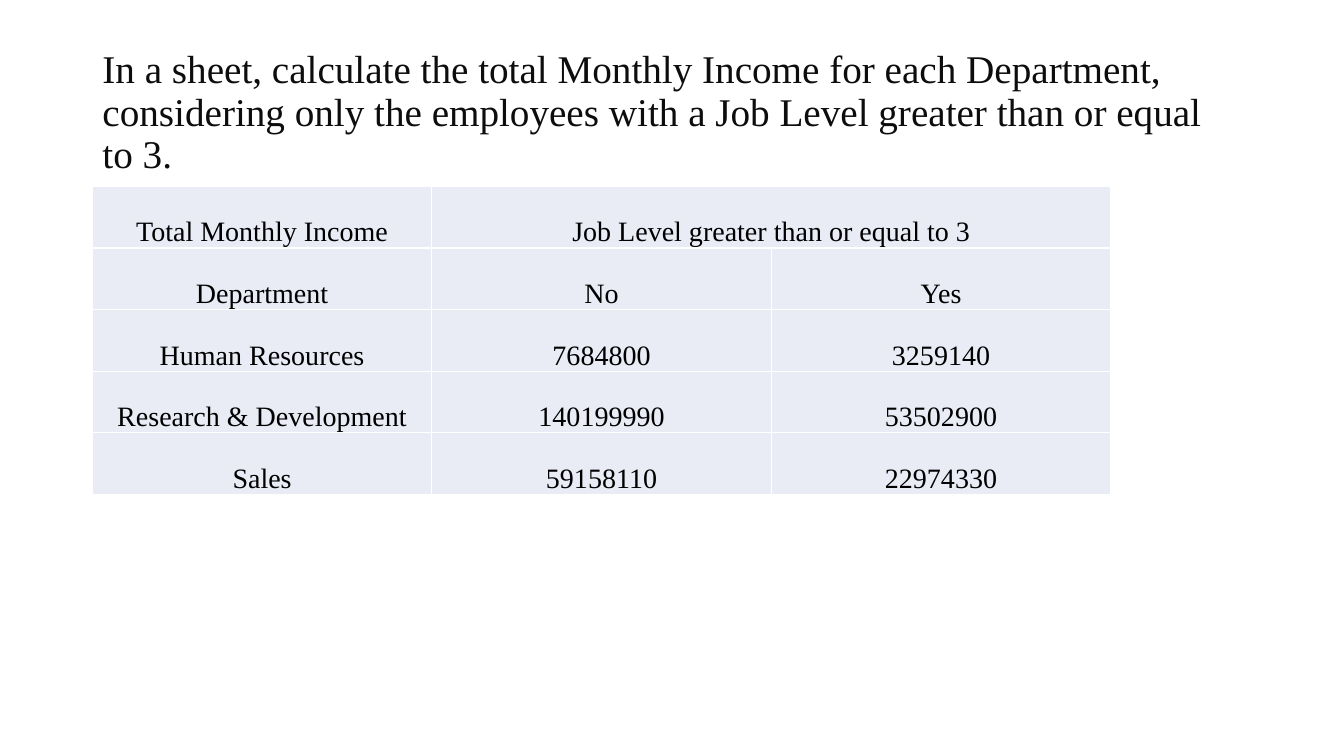
"""Build a slide that shows total monthly income by department and job level."""
from pptx import Presentation
from pptx.dml.color import RGBColor
from pptx.enum.text import MSO_ANCHOR, MSO_AUTO_SIZE, PP_ALIGN
from pptx.util import Pt

INK = RGBColor(0x0D, 0x0D, 0x0D)
BLACK = RGBColor(0, 0, 0)
PALE = RGBColor(0xE9, 0xEB, 0xF5)
FONT = "Times New Roman"
LEFT = Pt(66)
ROWS = [
    ("Total Monthly Income", "Job Level greater than or equal to 3", ""),
    ("Department", "No", "Yes"),
    ("Human Resources", "7684800", "3259140"),
    ("Research & Development", "140199990", "53502900"),
    ("Sales", "59158110", "22974330"),
]


def apply(item, form):
    for name, value in form.items():
        setattr(item, name, value)


def write(para, text, size, color, align):
    para.text = text
    para.alignment = align
    font = para.runs[0].font
    apply(font, {"name": FONT, "size": Pt(size)})
    font.color.rgb = color


deck = Presentation()
apply(deck, {"slide_width": Pt(960), "slide_height": Pt(540)})
slide = deck.slides.add_slide(deck.slide_layouts[5])

title = slide.shapes.title
apply(title, {"left": LEFT, "top": Pt(28.75), "width": Pt(828), "height": Pt(104.4)})
apply(title.text_frame, {
    "vertical_anchor": MSO_ANCHOR.MIDDLE,
    "auto_size": MSO_AUTO_SIZE.NONE,
    "word_wrap": True,
})
head = title.text_frame.paragraphs[0]
write(
    head,
    "In a sheet, calculate the total Monthly Income for each Department, "
    "considering only the employees with a Job Level greater than or equal to 3.",
    28, INK, PP_ALIGN.LEFT,
)
head.line_spacing = 0.9

frame = slide.shapes.add_table(len(ROWS), 3, LEFT, Pt(133.15), Pt(727.5), Pt(220))
table = frame.table
apply(table, {"first_row": False, "horz_banding": False})
for col in table.columns:
    col.width = Pt(242.5)
for row in table.rows:
    row.height = Pt(44)
table.cell(0, 1).merge(table.cell(0, 2))

for r, row in enumerate(ROWS):
    for c, text in enumerate(row):
        cell = table.cell(r, c)
        cell.fill.solid()
        cell.fill.fore_color.rgb = PALE
        apply(cell, {
            "vertical_anchor": MSO_ANCHOR.BOTTOM,
            "margin_left": Pt(0.75),
            "margin_right": Pt(0.75),
            "margin_top": Pt(0.75),
            "margin_bottom": Pt(0),
        })
        if text:
            write(cell.text_frame.paragraphs[0], text, 20, BLACK, PP_ALIGN.CENTER)

deck.save("out.pptx")
